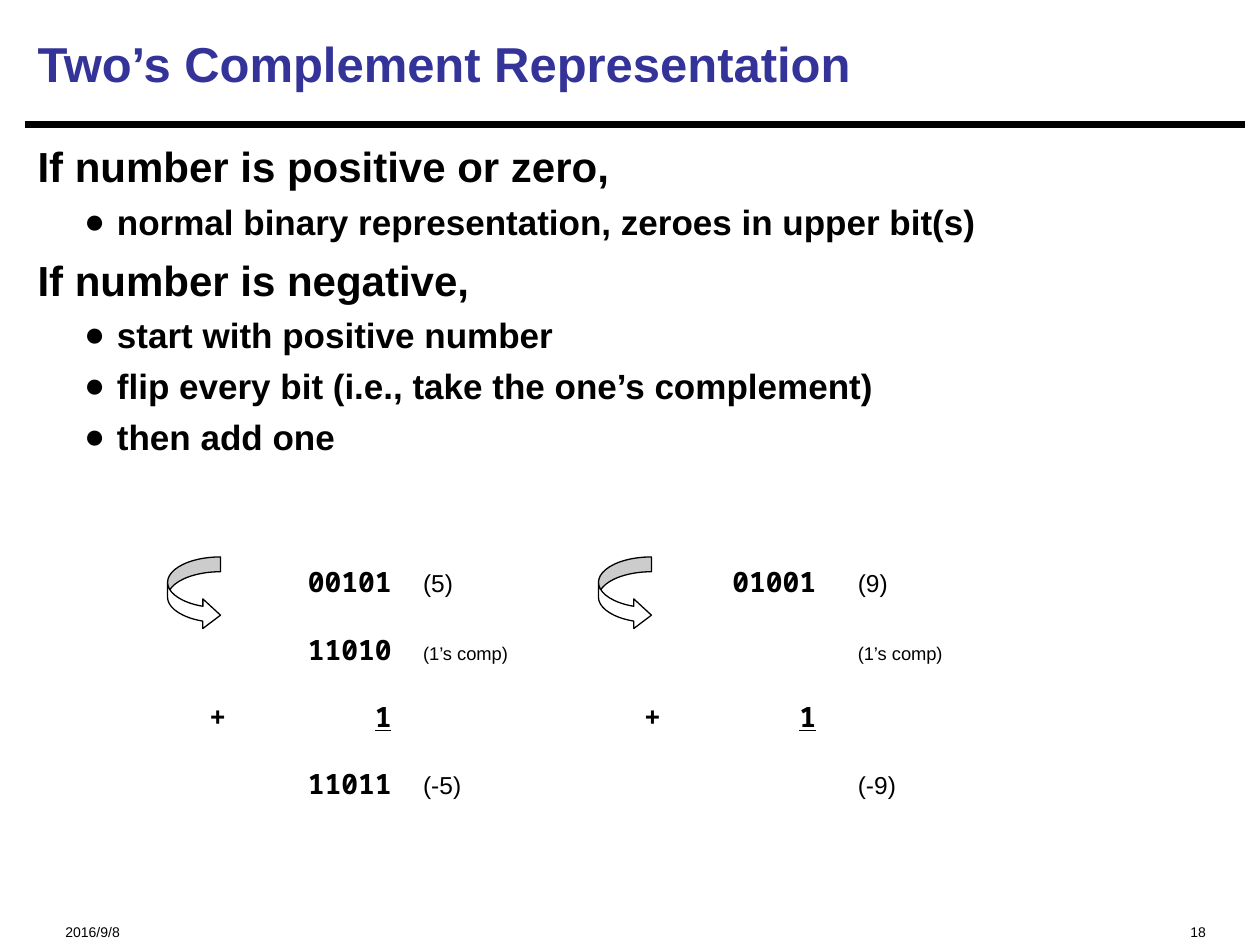
"""Build the slide on two's complement representation."""
from dataclasses import dataclass

from lxml.etree import SubElement
from pptx import Presentation
from pptx.dml.color import RGBColor
from pptx.enum.shapes import MSO_CONNECTOR, MSO_SHAPE
from pptx.enum.text import MSO_ANCHOR, PP_ALIGN
from pptx.oxml.ns import qn
from pptx.util import Inches, Pt


@dataclass(frozen=True)
class Theme:
    """Colours, fonts and type sizes of the slide."""

    ink: RGBColor = RGBColor(0x00, 0x00, 0x00)
    title_ink: RGBColor = RGBColor(0x33, 0x33, 0x99)
    paper: RGBColor = RGBColor(0xFF, 0xFF, 0xFF)
    sans: str = "Arial"
    mono: str = "Noto Sans Mono"
    title: float = 28
    heading: float = 24
    point: float = 20
    bits: float = 16
    value: float = 14
    note: float = 10.5
    footer: float = 8


THEME = Theme()

RULES = [
    ("If number is positive or zero,", 3,
     ["normal binary representation, zeroes in upper bit(s)"]),
    ("If number is negative,", 7,
     ["start with positive number",
      "flip every bit (i.e., take the one’s complement)",
      "then add one"]),
]

BITS = dict(font=THEME.mono, size=THEME.bits, bold=True)
CARRY = dict(BITS, underline=True)
VALUE = dict(size=THEME.value)
NOTE = dict(size=THEME.note)

COLUMNS = [(0.55, "ctr"), (1.93, "r"), (2.18, "l"),
           (4.0, "ctr"), (5.3, "r"), (5.63, "l")]
SUMS = [
    {1: ("00101", BITS), 2: ("(5)", VALUE), 4: ("01001", BITS), 5: ("(9)", VALUE)},
    {1: ("11010", BITS), 2: ("(1’s comp)", NOTE), 5: ("(1’s comp)", NOTE)},
    {0: ("+", BITS), 1: ("1", CARRY), 3: ("+", BITS), 4: ("1", CARRY)},
    {1: ("11011", BITS), 2: ("(-5)", VALUE), 5: ("(-9)", VALUE)},
]


def add_frame(slide, left, top, width, height, anchor=MSO_ANCHOR.TOP, inset=0.05):
    """Add a wrapping text box and return its text frame."""
    frame = slide.shapes.add_textbox(*map(Inches, (left, top, width, height))).text_frame
    frame.word_wrap = True
    frame.vertical_anchor = anchor
    frame.margin_top = Inches(inset)
    return frame


def add_text(paragraph, text, size, font=THEME.sans, color=THEME.ink,
             bold=False, underline=False):
    """Append one formatted run to a paragraph."""
    run = paragraph.add_run()
    run.text = text
    run.font.name = font
    run.font.size = Pt(size)
    run.font.color.rgb = color
    run.font.bold = bold
    run.font.underline = underline


def next_paragraph(frame):
    """Return the first paragraph while unused, otherwise a new one."""
    first = frame.paragraphs[0]
    return frame.add_paragraph() if first.runs else first


def set_bullet(paragraph):
    """Give a paragraph a round bullet with a hanging indent."""
    properties = paragraph._p.get_or_add_pPr()
    properties.set("lvl", "1")
    properties.set("marL", str(Inches(0.63)))
    properties.set("indent", str(Inches(-0.26)))
    SubElement(properties, qn("a:buFont"), typeface=THEME.sans)
    SubElement(properties, qn("a:buChar"), char="●")


def set_tabs(paragraph):
    """Set the tab stops that align the columns of the sums."""
    stops = SubElement(paragraph._p.get_or_add_pPr(), qn("a:tabLst"))
    for position, alignment in COLUMNS:
        SubElement(stops, qn("a:tab"), pos=str(Inches(position)), algn=alignment)


def add_divider(slide):
    """Draw the thick rule under the title."""
    divider = slide.shapes.add_connector(
        MSO_CONNECTOR.STRAIGHT, Inches(0.2), Inches(0.99), Inches(9.88), Inches(0.99))
    divider.line.color.rgb = THEME.ink
    divider.line.width = Pt(3.75)
    SubElement(divider._element.spPr, qn("a:effectLst"))


def add_footer(slide, text, left, width, alignment):
    """Add one small footer entry."""
    entry = add_frame(slide, left, 7.15, width, 0.27, inset=0.18).paragraphs[0]
    entry.alignment = alignment
    add_text(entry, text, THEME.footer)


def add_rules(slide):
    """Write the headings and their bulleted points."""
    frame = add_frame(slide, 0.2, 1.07, 9.67, 3)
    for heading, gap, points in RULES:
        paragraph = next_paragraph(frame)
        paragraph.space_before = Pt(gap)
        add_text(paragraph, heading, THEME.heading, bold=True)
        for point in points:
            paragraph = next_paragraph(frame)
            paragraph.space_before = Pt(5)
            set_bullet(paragraph)
            add_text(paragraph, point, THEME.point, bold=True)


def add_sums(slide):
    """Write both worked sums in tabbed columns."""
    frame = add_frame(slide, 1.08, 4.17, 7.83, 1.97)
    for row in SUMS:
        paragraph = next_paragraph(frame)
        paragraph.line_spacing = Pt(38.3)
        set_tabs(paragraph)
        for column in range(max(row) + 1):
            add_text(paragraph, "\t", THEME.value)
            if column in row:
                text, style = row[column]
                add_text(paragraph, text, **style)


def add_flip_arrow(slide, left):
    """Draw the curved arrow from a number to its complement."""
    arrow = slide.shapes.add_shape(
        MSO_SHAPE.CURVED_RIGHT_ARROW, Inches(left), Inches(4.42), Inches(0.42), Inches(0.58))
    for index, value in enumerate((0.28, 0.56, 0.333)):
        arrow.adjustments[index] = value
    arrow.shadow.inherit = False
    arrow.fill.solid()
    arrow.fill.fore_color.rgb = THEME.paper
    arrow.line.color.rgb = THEME.ink
    arrow.line.width = Pt(0.75)


def main():
    """Assemble and save the slide."""
    deck = Presentation()
    deck.slide_width, deck.slide_height = Inches(10), Inches(7.5)
    slide = deck.slides.add_slide(deck.slide_layouts[6])
    add_divider(slide)
    add_footer(slide, "2016/9/8", 0.42, 2.5, PP_ALIGN.LEFT)
    add_footer(slide, "18", 6.67, 3, PP_ALIGN.RIGHT)
    title = add_frame(slide, 0.2, 0.08, 9.67, 0.84, anchor=MSO_ANCHOR.MIDDLE)
    add_text(title.paragraphs[0], "Two’s Complement Representation", THEME.title,
             color=THEME.title_ink, bold=True)
    add_rules(slide)
    add_sums(slide)
    for left in (1.33, 4.75):
        add_flip_arrow(slide, left)
    deck.save("out.pptx")


main()
